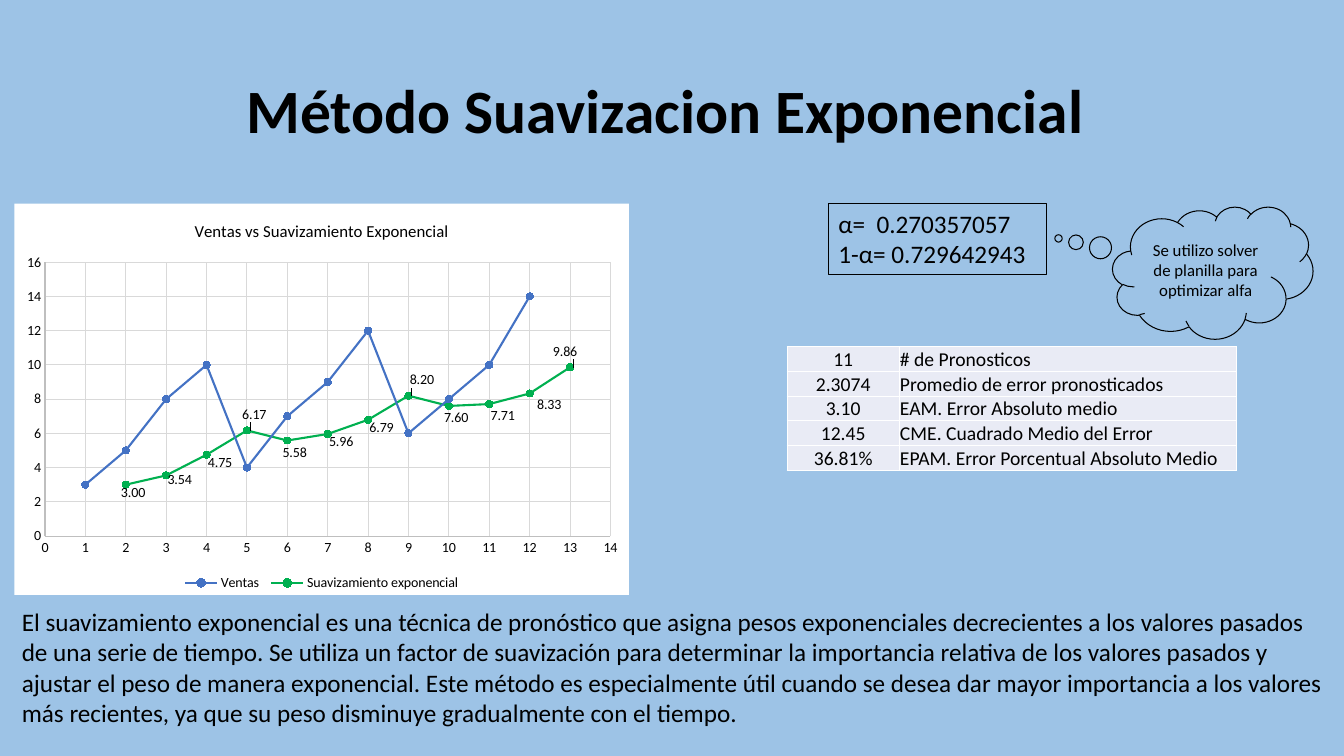
from lxml import etree
from pptx import Presentation
from pptx.chart.data import XyChartData
from pptx.dml.color import RGBColor as RGB
from pptx.enum.chart import XL_CHART_TYPE as Kind, XL_LABEL_POSITION as Spot
from pptx.enum.chart import XL_LEGEND_POSITION as Side, XL_MARKER_STYLE as Mark
from pptx.enum.chart import XL_TICK_MARK as Tick
from pptx.enum.shapes import MSO_SHAPE as Form
from pptx.enum.text import MSO_ANCHOR as Anchor, MSO_AUTO_SIZE as Fit, PP_ALIGN as Align
from pptx.oxml import parse_xml
from pptx.oxml.ns import nsdecls, qn
from pptx.util import Cm, Pt

SKY = RGB(0x9D, 0xC3, 0xE6)
BLACK = RGB(0, 0, 0)
WHITE = RGB(0xFF, 0xFF, 0xFF)
PALE = RGB(0xE9, 0xEB, 0xF5)
GRID = RGB(0xD9, 0xD9, 0xD9)
AXIS = RGB(0xBF, 0xBF, 0xBF)
BLUE = RGB(0x44, 0x72, 0xC4)
GREEN = RGB(0x00, 0xB0, 0x50)
FONT = "Calibri"

SALES = [3, 5, 8, 10, 4, 7, 9, 12, 6, 8, 10, 14]
SMOOTH = [3.00, 3.54, 4.75, 6.17, 5.58, 5.96, 6.79, 8.20, 7.60, 7.71, 8.33, 9.86]
# Label shifts as shares of the chart's width and height
SHIFTS = [(-.02, .02), (-.01, .01), (-.01, .02), (-.02, -.04), (-.02, .03), (-.01, .02),
          (-.01, .02), (-.01, -.04), (-.02, .03), (-.01, .03), (0, .03), (-.04, -.04)]
ERRORS = [("11", "# de Pronosticos"),
          ("2.3074", "Promedio de error pronosticados"),
          ("3.10", "EAM. Error Absoluto medio"),
          ("12.45", "CME. Cuadrado Medio del Error"),
          ("36.81%", "EPAM. Error Porcentual Absoluto Medio")]
NOTE = ("El suavizamiento exponencial es una técnica de pronóstico que asigna pesos "
        "exponenciales decrecientes a los valores pasados de una serie de tiempo. Se utiliza "
        "un factor de suavización para determinar la importancia relativa de los valores "
        "pasados y ajustar el peso de manera exponencial. Este método es especialmente útil "
        "cuando se desea dar mayor importancia a los valores más recientes, ya que su peso "
        "disminuye gradualmente con el tiempo.")


def style(font, size, bold=False):
    font.name, font.size, font.bold = FONT, Pt(size), bold
    font.color.rgb = BLACK


def write(frame, text, size=18, bold=False, align=Align.LEFT, anchor=Anchor.TOP, space=None):
    """Fill a text frame, one paragraph per line of text."""
    frame.word_wrap = True
    frame.vertical_anchor = anchor
    for i, line in enumerate(text.split("\n")):
        para = frame.add_paragraph() if i else frame.paragraphs[0]
        para.alignment, para.line_spacing = align, space
        run = para.add_run()
        run.text = line
        style(run.font, size, bold)


def head(slide, box):
    title = slide.shapes.title
    title.left, title.top, title.width, title.height = box
    title.text_frame.auto_size = Fit.NONE
    write(title.text_frame, "Método Suavizacion Exponencial ", size=44, bold=True,
          align=Align.CENTER, anchor=Anchor.MIDDLE, space=0.9)


def layout(**parts):
    """Build a manual chart layout from its named values."""
    body = "".join(f'<c:{name} val="{val}"/>' for name, val in parts.items())
    return parse_xml(f'<c:layout {nsdecls("c")}><c:manualLayout>{body}'
                     '</c:manualLayout></c:layout>')


def panel():
    return parse_xml(f'<c:spPr {nsdecls("c", "a")}><a:solidFill><a:srgbClr val="{WHITE}"/>'
                     '</a:solidFill><a:ln><a:noFill/></a:ln></c:spPr>')


def scale(axis, top, step):
    axis.minimum_scale, axis.maximum_scale, axis.major_unit = 0, top, step
    axis.major_tick_mark = axis.minor_tick_mark = Tick.NONE
    axis.has_major_gridlines = True
    axis.tick_labels.number_format = "General"
    axis.tick_labels.number_format_is_linked = False
    style(axis.tick_labels.font, 10)
    for line, color in ((axis.format.line, AXIS), (axis.major_gridlines.format.line, GRID)):
        line.color.rgb, line.width = color, Pt(0.75)


def paint(series, color):
    series.smooth = False
    series.format.line.color.rgb, series.format.line.width = color, Pt(1.5)
    mark = series.marker
    mark.style, mark.size = Mark.CIRCLE, 5
    mark.format.fill.solid()
    mark.format.fill.fore_color.rgb = mark.format.line.color.rgb = color


def label(series):
    """Show each value beside its point, shifted clear, without leader lines."""
    for i in range(len(SHIFTS)):
        tag = series.points[i].data_label
        tag.position = Spot.RIGHT
        style(tag.font, 10)
    tags = series._element.find(qn("c:dLbls"))
    for item, (x, y) in zip(tags.findall(qn("c:dLbl")), SHIFTS):
        item.find(qn("c:idx")).addnext(layout(x=x, y=y))
    for old in tags.findall(qn("c:showLeaderLines")):
        tags.remove(old)
    tags.append(parse_xml(
        f'<c:extLst {nsdecls("c")}><c:ext uri="{{CE6537A1-D6FC-4f65-9D91-7224C49458BB}}" '
        'xmlns:c15="http://schemas.microsoft.com/office/drawing/2012/chart">'
        '<c15:showLeaderLines val="0"/></c:ext></c:extLst>'))


def graph(slide, box):
    data = XyChartData(number_format="0.00")
    for name, start, vals in (("Ventas ", 1, SALES), ("Suavizamiento exponencial", 2, SMOOTH)):
        series = data.add_series(name)
        for x, y in enumerate(vals, start):
            series.add_data_point(x, y)
    chart = slide.shapes.add_chart(Kind.XY_SCATTER_LINES, *box, data).chart
    style(chart.font, 10)
    chart.has_title = True
    write(chart.chart_title.text_frame, "Ventas vs Suavizamiento Exponencial", size=12,
          align=Align.CENTER)
    chart.chart_title.include_in_layout = False
    chart.has_legend = True
    chart.legend.position, chart.legend.include_in_layout = Side.BOTTOM, False
    style(chart.legend.font, 10)
    scale(chart.category_axis, 14, 1)
    scale(chart.value_axis, 16, 2)
    plot = chart.plots[0]
    plot.vary_by_categories = False
    for series, color in zip(plot.series, (BLUE, GREEN)):
        paint(series, color)
    label(plot.series[1])
    root = chart._chartSpace.find(qn("c:chart"))
    root.addnext(panel())
    area = root.find(qn("c:plotArea"))
    for old in area.findall(qn("c:layout")):
        area.remove(old)
    area.insert(0, layout(layoutTarget="inner", xMode="edge", yMode="edge",
                          x=0.05, y=0.15, w=0.92, h=0.7))
    area.append(panel())


def edge(cell):
    """Draw white borders; they come before the fill in the cell's XML."""
    props = cell._tc.get_or_add_tcPr()
    for i, side in enumerate(("lnL", "lnR", "lnT", "lnB")):
        line = etree.Element(qn(f"a:{side}"), w=str(Pt(1)))
        fill = etree.SubElement(line, qn("a:solidFill"))
        etree.SubElement(fill, qn("a:srgbClr"), val=str(WHITE))
        props.insert(i, line)


def table(slide, box):
    grid = slide.shapes.add_table(len(ERRORS), 2, *box).table
    grid.first_row = grid.horz_banding = False
    grid.columns[0].width = Cm(2.82)
    grid.columns[1].width = box[2] - Cm(2.82)
    for r, row in enumerate(ERRORS):
        grid.rows[r].height = box[3] // len(ERRORS)
        for c, text in enumerate(row):
            cell = grid.cell(r, c)
            cell.margin_left = cell.margin_right = cell.margin_top = Cm(0.02)
            cell.margin_bottom = 0
            cell.fill.solid()
            cell.fill.fore_color.rgb = PALE
            edge(cell)
            write(cell.text_frame, text, size=14, align=Align.LEFT if c else Align.CENTER)
            cell.vertical_anchor = Anchor.BOTTOM


def frame(slide, form, box, text, **look):
    """Add an unfilled, black-edged shape holding text."""
    shape = slide.shapes.add_shape(form, *box)
    shape.shadow.inherit = False
    shape.fill.background()
    shape.line.color.rgb, shape.line.width = BLACK, Pt(0.75)
    write(shape.text_frame, text, **look)
    return shape


def alpha(slide, box):
    frame(slide, Form.RECTANGLE, box, "α=  0.270357057\n1-α= 0.729642943")


def cloud(slide, box):
    shape = frame(slide, Form.CLOUD_CALLOUT, box,
                  "Se utilizo solver de planilla para optimizar alfa",
                  size=12, align=Align.CENTER, anchor=Anchor.MIDDLE)
    shape.adjustments[0], shape.adjustments[1] = -0.77, -0.26


def note(slide, box):
    write(slide.shapes.add_textbox(*box).text_frame, NOTE)


def area(*sides):
    return [Cm(side) for side in sides]


def main():
    deck = Presentation()
    deck.slide_width, deck.slide_height = Cm(33.87), Cm(19.05)
    slide = deck.slides.add_slide(deck.slide_layouts[5])
    slide.background.fill.solid()
    slide.background.fill.fore_color.rgb = SKY
    head(slide, area(2.34, 1.02, 29.21, 3.68))
    graph(slide, area(0.36, 5.13, 15.49, 9.86))
    table(slide, area(19.84, 8.74, 11.33, 3.1))
    note(slide, area(0.3, 15.16, 33.55, 3.33))
    alpha(slide, area(20.88, 5.13, 5.49, 1.8))
    cloud(slide, area(28.04, 5.21, 5.05, 3.33))
    deck.save("out.pptx")


if __name__ == "__main__":
    main()
